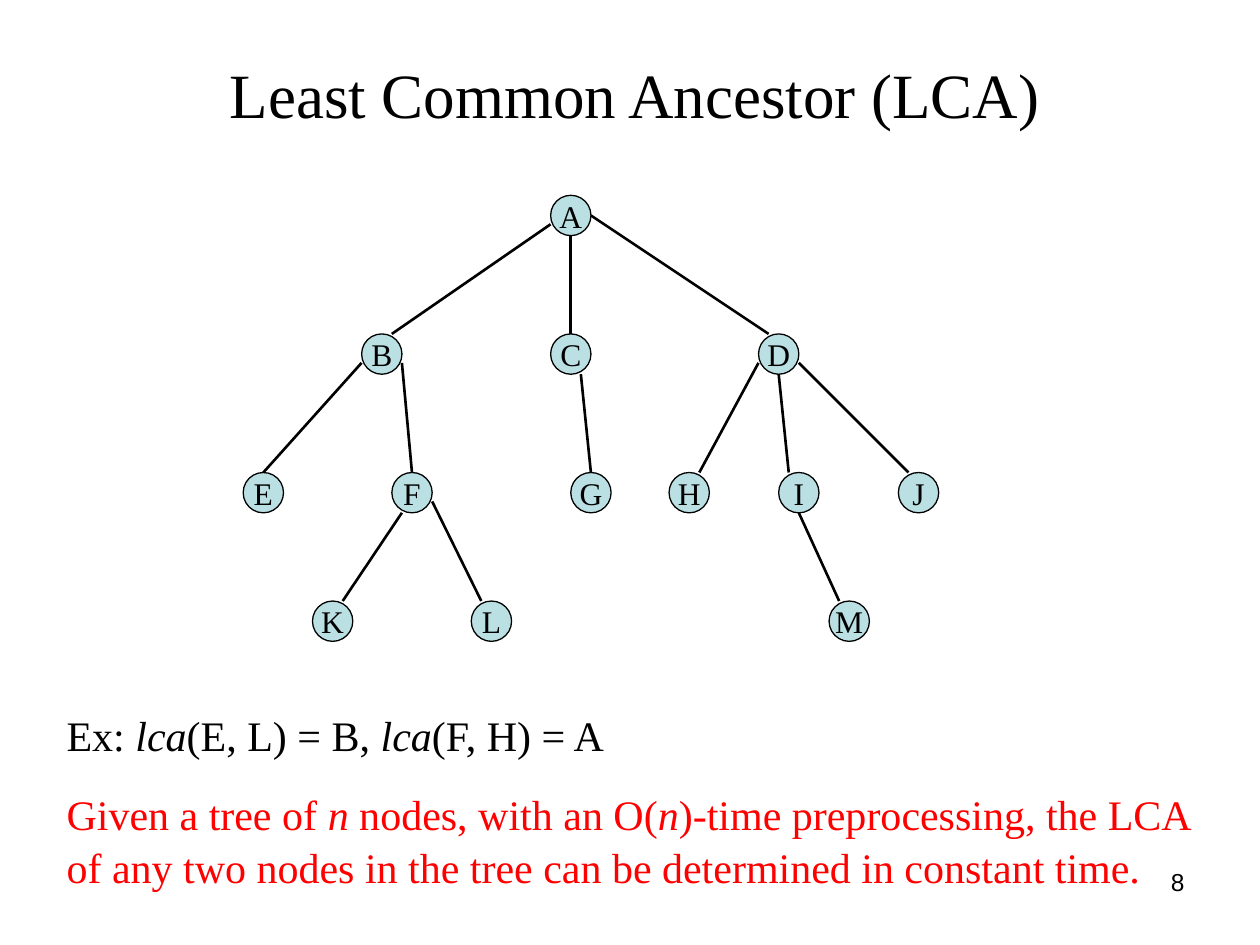
from lxml import etree
from pptx import Presentation
from pptx.dml.color import RGBColor
from pptx.enum.shapes import MSO_CONNECTOR, MSO_SHAPE
from pptx.enum.text import MSO_ANCHOR, PP_ALIGN
from pptx.oxml.ns import qn
from pptx.util import Inches, Pt

SERIF, BLACK, RED, NODE_FILL = "Times New Roman", "000000", "FF0000", "BBE0E3"
RADIUS = 0.16

LEVELS = [
    (1.71, {"A": 4.53}),
    (2.81, {"B": 3.03, "C": 4.53, "D": 6.18}),
    (3.91, {"E": 2.09, "F": 3.27, "G": 4.69, "H": 5.47, "I": 6.34, "J": 7.29}),
    (4.93, {"K": 2.64, "L": 3.90, "M": 6.74}),
]
NODES = {name: (x, y) for y, row in LEVELS for name, x in row.items()}

LEFT, RIGHT, BOTTOM = (-RADIUS, 0.07), (RADIUS, 0.07), (0, RADIUS)
EDGES = [
    ("A", "B", LEFT, 0.08), ("A", "C", BOTTOM, 0), ("A", "D", (RADIUS, 0), -0.08),
    ("B", "E", LEFT, 0), ("B", "F", RIGHT, 0), ("C", "G", (0.08, RADIUS), 0),
    ("D", "H", LEFT, 0.08), ("D", "I", BOTTOM, -0.08), ("D", "J", RIGHT, -0.08),
    ("F", "K", (-0.08, RADIUS), 0.08), ("F", "L", RIGHT, -0.08), ("I", "M", BOTTOM, -0.08),
]
EXAMPLE = [("Ex: ", False), ("lca", True), ("(E, L) = B, ", False),
           ("lca", True), ("(F, H) = A", False)]
THEOREM = [("Given a tree of ", False), ("n", True), (" nodes, with an O(", False), ("n", True),
           (")-time preprocessing, the LCA of any two nodes in the tree "
            "can be determined in constant time.", False)]


def rgb(value):
    return RGBColor.from_string(value)


class TreeSlide:
    """Draws text, tree nodes and tree edges on one slide in a shared style."""

    def __init__(self, prs):
        self.s = prs.slides.add_slide(prs.slide_layouts[6])

    def add_runs(self, p, runs, size, color=BLACK, font=SERIF, align=PP_ALIGN.LEFT):
        p.alignment = align
        for text, italic in runs:
            r = p.add_run()
            r.text = text
            r.font.size, r.font.name, r.font.italic = Pt(size), font, italic
            r.font.color.rgb = rgb(color)

    def text_frame(self, x, y, w, h, anchor=MSO_ANCHOR.TOP):
        tf = self.s.shapes.add_textbox(Inches(x), Inches(y), Inches(w), Inches(h)).text_frame
        tf.word_wrap, tf.vertical_anchor = True, anchor
        return tf

    def title(self, text):
        tf = self.text_frame(0.58, 0.25, 8.92, 0.98, MSO_ANCHOR.MIDDLE)
        self.add_runs(tf.paragraphs[0], [(text, False)], 36, align=PP_ALIGN.CENTER)

    def body(self, paragraphs):
        tf = self.text_frame(0.43, 5.56, 9.29, 1.51)
        for i, (runs, color) in enumerate(paragraphs):
            p = tf.add_paragraph() if i else tf.paragraphs[0]
            p.line_spacing = 1.05
            if i:
                p.space_before = Pt(15)
            self.add_runs(p, runs, 24, color)

    def number(self, text):
        tf = self.text_frame(7.17, 6.83, 2.33, 0.52)
        self.add_runs(tf.paragraphs[0], [(text, False)], 14, font="Arial", align=PP_ALIGN.RIGHT)

    def node(self, name, x, y):
        sp = self.s.shapes.add_shape(MSO_SHAPE.OVAL, Inches(x - RADIUS), Inches(y - RADIUS),
                                     Inches(2 * RADIUS), Inches(2 * RADIUS))
        sp.shadow.inherit = False
        sp.fill.solid()
        sp.fill.fore_color.rgb = rgb(NODE_FILL)
        sp.line.color.rgb, sp.line.width = rgb(BLACK), Pt(0.75)
        tf = sp.text_frame
        tf.word_wrap, tf.vertical_anchor = False, MSO_ANCHOR.MIDDLE
        self.add_runs(tf.paragraphs[0], [(name, False)], 18, align=PP_ALIGN.CENTER)

    def edge(self, parent, child, offset, shift):
        (px, py), (cx, cy) = NODES[parent], NODES[child]
        line = self.s.shapes.add_connector(
            MSO_CONNECTOR.STRAIGHT, Inches(cx + shift), Inches(cy - RADIUS),
            Inches(px + offset[0]), Inches(py + offset[1]))
        line.line.color.rgb, line.line.width = rgb(BLACK), Pt(1.5)
        etree.SubElement(line._element.spPr, qn("a:effectLst"))


def main():
    prs = Presentation()
    prs.slide_width, prs.slide_height = Inches(10), Inches(7.5)
    slide = TreeSlide(prs)
    slide.title("Least Common Ancestor (LCA)")
    for name, (x, y) in NODES.items():
        slide.node(name, x, y)
    for edge in EDGES:
        slide.edge(*edge)
    slide.body([(EXAMPLE, BLACK), (THEOREM, RED)])
    slide.number("8")
    prs.save("out.pptx")


if __name__ == "__main__":
    main()
